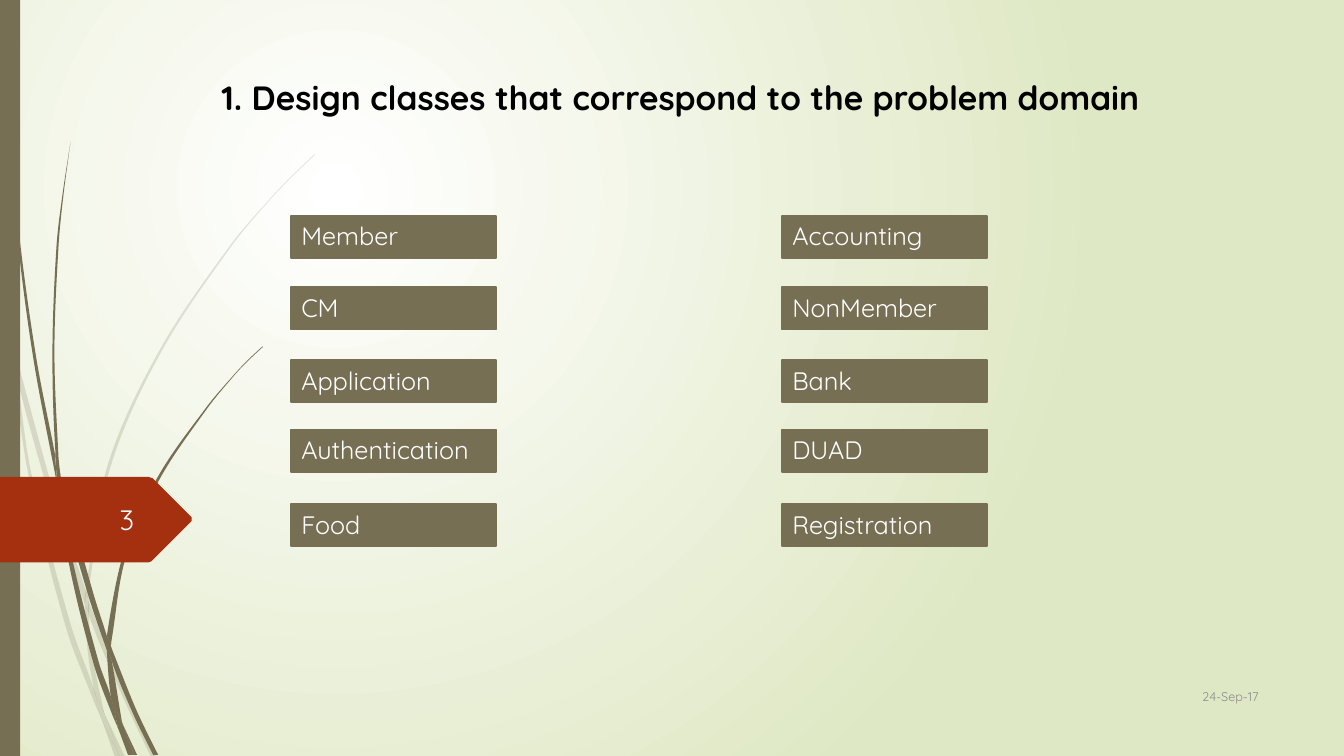
from math import dist

from lxml.etree import SubElement
from pptx import Presentation
from pptx.dml.color import RGBColor
from pptx.enum.shapes import MSO_SHAPE
from pptx.enum.text import MSO_ANCHOR, PP_ALIGN
from pptx.oxml.ns import qn
from pptx.util import Pt

PX = 9144
PAGE_WIDTH, PAGE_HEIGHT = 1333, 750
FONT = "Quicksand"
WHITE = RGBColor(0xFF, 0xFF, 0xFF)
NEAR_WHITE = RGBColor(0xFE, 0xFF, 0xFF)
BLACK = RGBColor(0x00, 0x00, 0x00)
GREY = RGBColor(0x8C, 0x8C, 0x8C)
OLIVE = RGBColor(0x76, 0x6F, 0x54)
RUST = RGBColor(0xA5, 0x30, 0x10)
PALE_GREEN = RGBColor(0xDF, 0xE8, 0xC4)

CLASS_COLUMNS = {
    289: ["Member", "CM", "Application", "Authentication", "Food"],
    776: ["Accounting", "NonMember", "Bank", "DUAD", "Registration"],
}
CLASS_TOPS = [214, 285, 357, 426, 500]

FAINT_BLADES = [
    [(11, 350), (9, 322), (0, 282), (0, 299), (10, 344)],
    [(58, 522), (84, 599), (85, 586), (62, 520), (14, 345), (17, 376)],
    [(92, 607), (88, 596), (88, 610), (123, 694), (150, 751), (155, 751), (127, 692)],
    [(119, 751), (124, 751), (105, 711)],
    [(93, 683), (70, 619), (31, 469), (17, 376), (11, 350), (28, 470), (65, 621),
     (92, 693), (101, 714), (99, 707)],
    [(84, 599), (87, 646), (93, 683), (96, 692), (105, 711), (103, 706), (91, 646),
     (88, 610), (88, 608)],
    [(88, 584), (110, 462), (160, 349), (229, 245), (268, 198), (290, 175), (312, 154),
     (312, 153), (289, 175), (268, 197), (228, 244), (158, 348), (107, 461), (85, 584),
     (85, 586), (88, 596)],
    [(101, 714), (114, 751), (119, 751)],
    [(88, 608), (88, 610), (88, 596), (85, 586), (84, 599)],
    [(96, 692), (93, 683), (99, 707), (101, 714), (119, 751), (105, 711)],
]
DARK_BLADES = [
    [(7, 110), (17, 233), (33, 355), (56, 477), (57, 481), (55, 457), (55, 453), (36, 355),
     (19, 232), (8, 109), (5, 48), (4, 0), (3, 0), (4, 48)],
    [(88, 592), (106, 645), (106, 633), (106, 631), (93, 590), (60, 472), (64, 505)],
    [(113, 649), (110, 641), (111, 656), (132, 708), (152, 749), (157, 749), (136, 706)],
    [(110, 691), (98, 657), (72, 556), (64, 505), (57, 477), (68, 557), (93, 659),
     (111, 708), (117, 722), (116, 717)],
    [(60, 472), (58, 453), (54, 349), (58, 245), (63, 193), (70, 141), (62, 193),
     (56, 245), (52, 349), (55, 449)],
    [(133, 749), (136, 749), (122, 719)],
    [(57, 477), (64, 505), (60, 472), (55, 449), (55, 453)],
    [(111, 633), (125, 552), (158, 476), (205, 406), (231, 374), (245, 359), (261, 344),
     (260, 344), (245, 358), (231, 373), (204, 405), (156, 474), (122, 551), (106, 631),
     (110, 641)],
    [(117, 722), (127, 749), (131, 749)],
    [(106, 645), (110, 691), (116, 706), (122, 719), (121, 716), (111, 656), (109, 651)],
    [(106, 645), (109, 651), (111, 656), (110, 641), (106, 631), (106, 633)],
    [(116, 706), (110, 691), (116, 717), (117, 722), (130, 749), (133, 749), (122, 719)],
]
TAG_OUTLINE = [(147, 558), (150, 557), (151, 556), (190, 517), (190, 513), (151, 474),
               (150, 474), (147, 473), (0, 473), (0, 558)]


def tangent(before, point, after):
    """Return the unit direction of the curve at a point, or zero at a corner."""
    arriving, leaving = dist(before, point), dist(point, after)
    turn = sum((b - a) * (c - b) for a, b, c in zip(before, point, after))
    if turn < 0.85 * arriving * leaving:
        return 0, 0
    return tuple((c - a) / dist(before, after) for a, c in zip(before, after))


def curve(shape):
    """Turn the straight sides of a freeform into smooth curves."""
    outline = shape._element.find(".//" + qn("a:path"))
    points = [(int(pt.get("x")), int(pt.get("y"))) for pt in outline.iter(qn("a:pt"))][:-1]
    count = len(points)
    tangents = [tangent(points[n - 1], points[n], points[(n + 1) % count])
                for n in range(count)]
    for n, line in enumerate(outline.findall(qn("a:lnTo"))):
        start, end = points[n], points[(n + 1) % count]
        reach = dist(start, end) / 3
        line.tag = qn("a:cubicBezTo")
        controls = [
            [p + reach * t for p, t in zip(start, tangents[n])],
            [p - reach * t for p, t in zip(end, tangents[(n + 1) % count])],
        ]
        for index, (x, y) in enumerate(controls):
            control = SubElement(line, qn("a:pt"), x=str(round(x)), y=str(round(y)))
            line.insert(index, control)


def paint(shape, color, opacity=100, line_width=0):
    """Give a shape a plain fill, an optional outline and no shadow."""
    shape.shadow.inherit = False
    shape.fill.solid()
    shape.fill.fore_color.rgb = color
    if opacity < 100:
        solid = shape._element.spPr.find(qn("a:solidFill"))
        SubElement(solid[0], qn("a:alpha"), val=str(opacity * 1000))
    if line_width:
        shape.line.color.rgb = color
        shape.line.width = Pt(line_width)
    else:
        shape.line.fill.background()


def add_outline(shapes, points, color, opacity=100):
    """Draw a closed, filled outline and return it."""
    start, *rest = [(x * PX, y * PX) for x, y in points]
    builder = shapes.build_freeform(*start, scale=1.0)
    builder.add_line_segments([*rest, start], close=True)
    shape = builder.convert_to_shape()
    paint(shape, color, opacity)
    return shape


def add_grass(page, blades, opacity=100):
    """Draw a group of curved grass blades."""
    grass = page.shapes.add_group_shape()
    for blade in blades:
        curve(add_outline(grass.shapes, blade, OLIVE, opacity))


def add_rectangle(page, left, top, width, height, line_width=0):
    """Add an olive rectangle and return it."""
    box = page.shapes.add_shape(MSO_SHAPE.RECTANGLE, *(n * PX for n in (left, top, width, height)))
    paint(box, OLIVE, line_width=line_width)
    return box


def add_text_box(page, left, top, width, height):
    """Add an empty text box and return it."""
    return page.shapes.add_textbox(*(n * PX for n in (left, top, width, height)))


def write(box, text, size=18, color=WHITE, bold=False, align=PP_ALIGN.LEFT, anchor=MSO_ANCHOR.TOP):
    """Put formatted text into a box."""
    frame = box.text_frame
    frame.word_wrap = True
    frame.vertical_anchor = anchor
    para = frame.paragraphs[0]
    para.alignment = align
    span = para.add_run()
    span.text = text
    span.font.name = FONT
    span.font.size = Pt(size)
    span.font.bold = bold
    span.font.color.rgb = color


def set_background(page):
    """Fill the page with a circular gradient from white to pale green."""
    fill = page.background.fill
    fill.gradient()
    for stop, color, position in zip(fill.gradient_stops, (WHITE, PALE_GREEN), (0, 1)):
        stop.color.rgb = color
        stop.position = position
    gradient = page._element.find(".//" + qn("a:gradFill"))
    gradient.remove(gradient.find(qn("a:lin")))
    circle = SubElement(gradient, qn("a:path"), path="circle")
    SubElement(circle, qn("a:fillToRect"), l="50000", t="50000", r="100000", b="100000")


def main():
    """Build the slide and save it."""
    deck = Presentation()
    deck.slide_width, deck.slide_height = PAGE_WIDTH * PX, PAGE_HEIGHT * PX
    page = deck.slides.add_slide(deck.slide_layouts[6])
    set_background(page)
    add_grass(page, FAINT_BLADES, opacity=20)
    add_grass(page, DARK_BLADES)
    add_rectangle(page, 0, 0, 20, PAGE_HEIGHT)
    add_outline(page.shapes, TAG_OUTLINE, RUST)
    write(add_text_box(page, 58, 495, 85, 40), "3", size=20, color=NEAR_WHITE,
          align=PP_ALIGN.RIGHT, anchor=MSO_ANCHOR.MIDDLE)
    write(add_text_box(page, 210, 71, 1016, 50),
          "1. Design classes that correspond to the problem domain",
          size=24, color=BLACK, bold=True)
    for left, names in CLASS_COLUMNS.items():
        for top, name in zip(CLASS_TOPS, names):
            write(add_rectangle(page, left, top, 203, 42, line_width=1.25), name)
    write(add_text_box(page, 1133, 670, 125, 41), "24-Sep-17", size=9, color=GREY,
          align=PP_ALIGN.RIGHT, anchor=MSO_ANCHOR.MIDDLE)
    deck.save("out.pptx")


if __name__ == "__main__":
    main()
